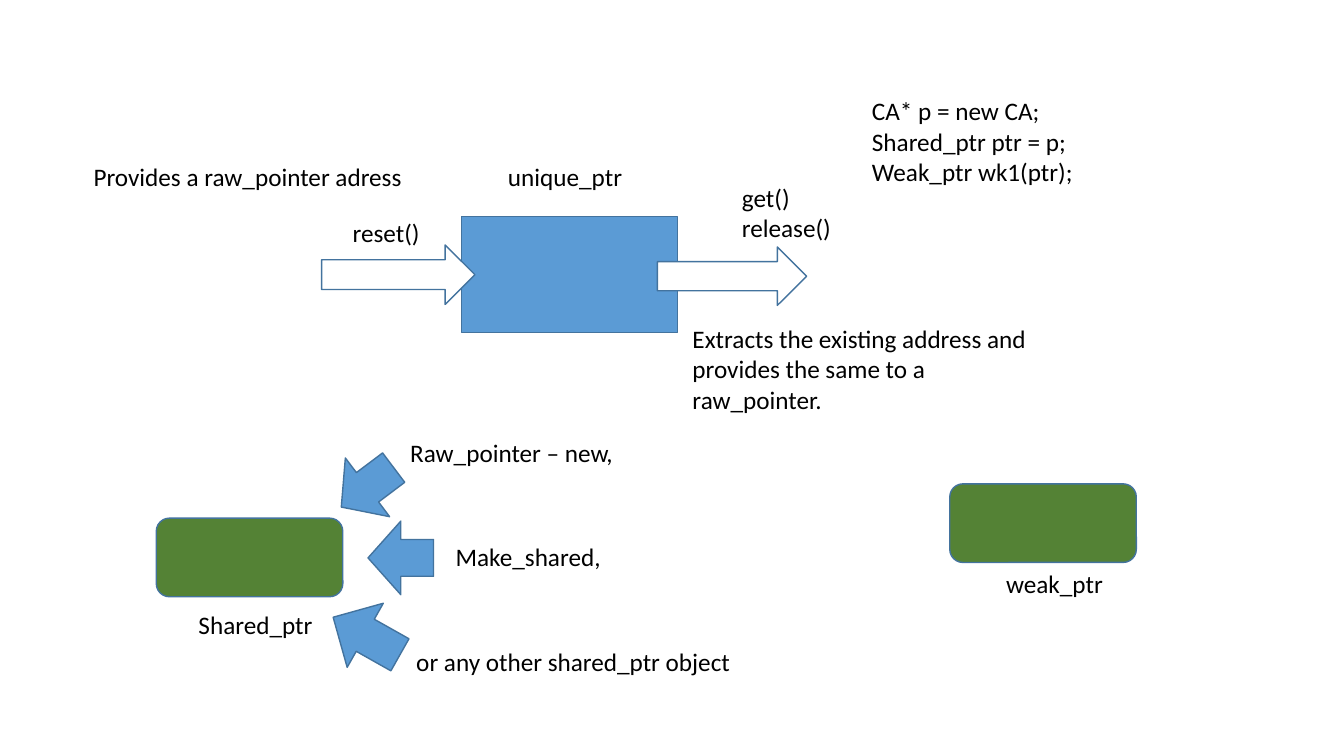
import pptx
import pptx.util
from pptx.dml.color import RGBColor
from pptx.enum.shapes import MSO_SHAPE
from pptx.enum.text import MSO_AUTO_SIZE
from pptx.util import Inches

BLUE = RGBColor(0x5B, 0x9B, 0xD5)
OUTLINE = RGBColor(0x43, 0x73, 0x9E)
GREEN = RGBColor(0x54, 0x82, 0x35)
WHITE = RGBColor(0xFF, 0xFF, 0xFF)
BLACK = RGBColor(0x00, 0x00, 0x00)


def add_figure(slide, preset, left, top, width, height, color, rotation=0):
    figure = slide.shapes.add_shape(
        preset, Inches(left), Inches(top), Inches(width), Inches(height))
    figure.rotation = rotation
    figure.shadow.inherit = False
    figure.fill.solid()
    figure.fill.fore_color.rgb = color
    figure.line.color.rgb = OUTLINE
    figure.line.width = pptx.util.Pt(1)


def add_label(slide, text, left, top, width, height=0.4, wrap=True):
    label = slide.shapes.add_textbox(
        Inches(left), Inches(top), Inches(width), Inches(height))
    frame = label.text_frame
    frame.text = text
    frame.word_wrap = wrap
    frame.auto_size = MSO_AUTO_SIZE.SHAPE_TO_FIT_TEXT
    for paragraph in frame.paragraphs:
        for run in paragraph.runs:
            run.font.name = "Calibri"
            run.font.size = pptx.util.Pt(18)
            run.font.color.rgb = BLACK


def add_unique_ptr(slide):
    add_figure(slide, MSO_SHAPE.RECTANGLE, 4.58, 2.15, 2.14, 1.15, BLUE)
    add_label(slide, "unique_ptr", 4.94, 1.55, 1.43)
    add_figure(slide, MSO_SHAPE.RIGHT_ARROW, 6.52, 2.45, 1.48, 0.58, WHITE)
    add_figure(slide, MSO_SHAPE.RIGHT_ARROW, 3.19, 2.43, 1.52, 0.59, WHITE)
    add_label(slide, "get()\nrelease()", 7.26, 1.76, 1.29, 0.71)
    add_label(slide, "reset()", 3.4, 2.11, 1)
    add_label(slide, "Provides a raw_pointer adress", 0.83, 1.55, 3.57)
    add_label(slide, "Extracts the existing address and provides the same to a raw_pointer.",
              6.77, 3.16, 3.57, 1.01)


def add_shared_ptr(slide):
    add_figure(slide, MSO_SHAPE.ROUNDED_RECTANGLE, 1.55, 5.14, 1.85, 0.78, GREEN)
    add_label(slide, "Shared_ptr", 1.87, 6, 1.82)
    for left, top, height, rotation in (
            (3.28, 4.51, 0.65, 53), (3.61, 5.21, 0.65, 90), (3.27, 5.93, 0.76, 119.4)):
        add_figure(slide, MSO_SHAPE.DOWN_ARROW, left, top, 0.73, height, BLUE, rotation)
    add_label(slide, "Raw_pointer – new,", 3.97, 4.29, 2.64)
    add_label(slide, "Make_shared,", 4.42, 5.32, 5.58)
    add_label(slide, "or any other shared_ptr object", 4.03, 6.36, 3.35, wrap=False)


def add_weak_ptr(slide):
    add_figure(slide, MSO_SHAPE.ROUNDED_RECTANGLE, 9.42, 4.8, 1.85, 0.78, GREEN)
    add_label(slide, "weak_ptr", 9.88, 5.59, 1.82)
    add_label(slide, "CA* p = new CA;\nShared_ptr ptr = p;\nWeak_ptr wk1(ptr);",
              8.55, 0.9, 3.26, 1.01)


def main():
    deck = pptx.Presentation()
    deck.slide_width = Inches(13.33)
    deck.slide_height = Inches(7.5)
    slide = deck.slides.add_slide(deck.slide_layouts[6])
    add_unique_ptr(slide)
    add_shared_ptr(slide)
    add_weak_ptr(slide)
    deck.save("out.pptx")


if __name__ == "__main__":
    main()
